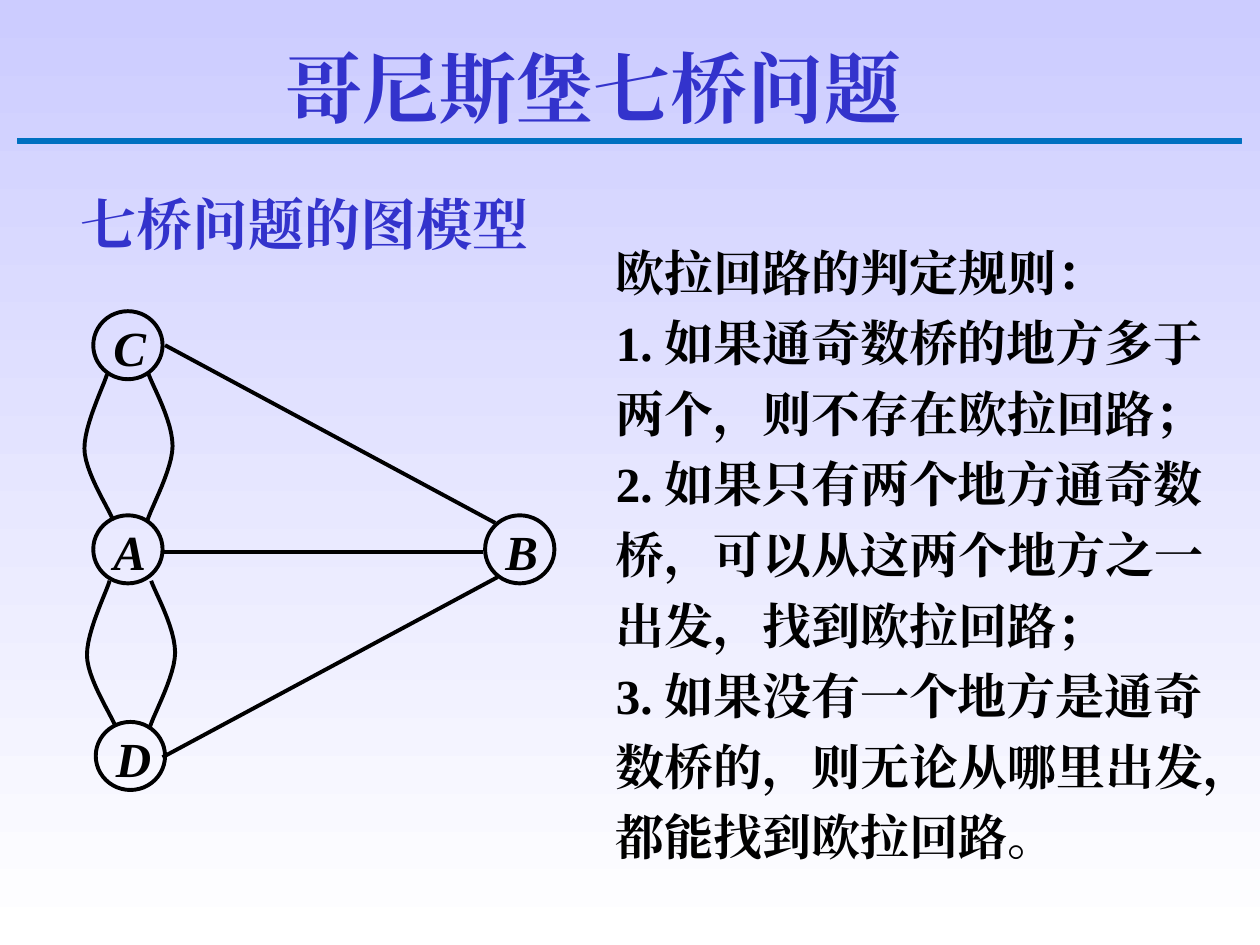
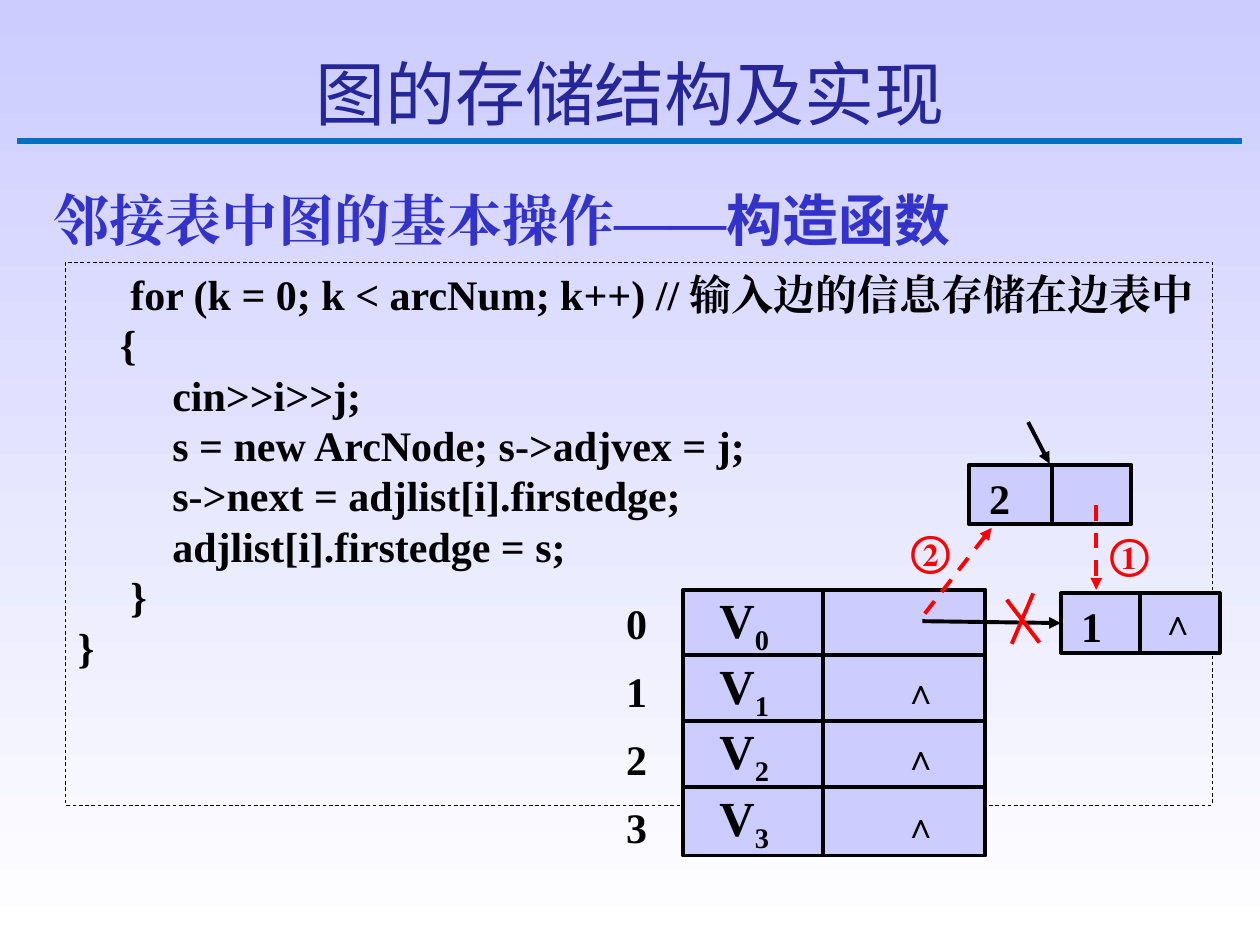
from lxml.etree import SubElement
from pptx import Presentation
from pptx.dml.color import RGBColor
from pptx.enum.dml import MSO_LINE
from pptx.enum.shapes import MSO_CONNECTOR, MSO_SHAPE
from pptx.enum.text import MSO_ANCHOR as Anchor, MSO_AUTO_SIZE as AutoSize, PP_ALIGN as Align
from pptx.oxml.ns import qn
from pptx.util import Emu, Pt

SCALE = 9144
TITLE_ONLY = 5
SERIF = "Times New Roman"
SANS = "Noto Sans CJK SC"
COLORS = {
    "sky": "CCCCFF",
    "white": "FFFFFF",
    "rule": "0070C0",
    "heading": "3333CC",
    "title": "262699",
    "ink": "000000",
    "mark": "FF0000",
}


def px(length):
    return Emu(round(length * SCALE))


def rgb(name):
    return RGBColor.from_string(COLORS[name])


def bezier(start, first, second, end, steps=12):
    for step in range(1, steps + 1):
        t = step / steps
        u = 1 - t
        yield tuple(
            u**3 * a + 3 * u * u * t * b + 3 * u * t * t * c + t**3 * d
            for a, b, c, d in zip(start, first, second, end)
        )


class Painter:
    def __init__(self):
        self.deck = Presentation()
        self.deck.slide_width, self.deck.slide_height = px(1000), px(750)
        fill = self.deck.slide_master.background.fill
        fill.gradient()
        fill.gradient_angle = 270
        for stop, color in zip(fill.gradient_stops, ("sky", "white")):
            stop.color.rgb = rgb(color)
        self.page = None

    def new_page(self, title, area, **style):
        self.page = self.deck.slides.add_slide(self.deck.slide_layouts[TITLE_ONLY])
        self.box(14, 110, 971, 4, fill="rule", line="rule", weight=0.25)
        holder = self.page.shapes.title
        self.place(holder, *area)
        self.set_text(holder, [title], align=Align.CENTER, anchor=Anchor.MIDDLE, **style)

    def place(self, shape, left, top, width, height):
        shape.left, shape.top = px(left), px(top)
        shape.width, shape.height = px(width), px(height)

    def style_font(self, para, size, color, bold, italic, name):
        para.font.size = Pt(size)
        para.font.bold = bold
        para.font.italic = italic
        para.font.color.rgb = rgb(color)
        para.font.name = name
        props = para._p.get_or_add_pPr().find(qn("a:defRPr"))
        SubElement(props, qn("a:ea")).set("typeface", name)

    def set_text(self, shape, lines, size=24, color="ink", bold=True, italic=False, name=SERIF,
                 insets=(10, 5, 10, 5), spacing=None, align=Align.LEFT, anchor=Anchor.TOP):
        frame = shape.text_frame
        frame.word_wrap = True
        frame.auto_size = AutoSize.NONE
        frame.vertical_anchor = anchor
        frame.margin_left, frame.margin_top, frame.margin_right, frame.margin_bottom = map(px, insets)
        for index, line in enumerate(lines):
            para = frame.add_paragraph() if index else frame.paragraphs[0]
            para.alignment = align
            if spacing:
                para.line_spacing = spacing
            para.add_run().text = line
            self.style_font(para, size, color, bold, italic, name)
        return shape

    def add_span(self, shape, words, name=None, baseline=None):
        span = shape.text_frame.paragraphs[-1].add_run()
        span.text = words
        props = span._r.get_or_add_rPr()
        if name:
            span.font.name = name
            SubElement(props, qn("a:ea")).set("typeface", name)
        if baseline:
            props.set("baseline", str(baseline * 1000))

    def text(self, left, top, width, height, *lines, **style):
        box = self.page.shapes.add_textbox(px(left), px(top), px(width), px(height))
        return self.set_text(box, lines, **style)

    def paint_outline(self, shape, fill, line, weight, dash=None):
        shape.shadow.inherit = False
        if fill:
            shape.fill.solid()
            shape.fill.fore_color.rgb = rgb(fill)
        else:
            shape.fill.background()
        if line:
            shape.line.color.rgb = rgb(line)
            shape.line.width = Pt(weight)
            shape.line.dash_style = dash
        else:
            shape.line.fill.background()

    def box(self, left, top, width, height, *lines, kind=MSO_SHAPE.RECTANGLE,
            fill=None, line="ink", weight=2.25, dash=None, **style):
        shape = self.page.shapes.add_shape(kind, px(left), px(top), px(width), px(height))
        self.paint_outline(shape, fill, line, weight, dash)
        if lines:
            self.set_text(shape, lines, **style)
        return shape

    def line(self, start, end, color="ink", dash=None, arrow=False):
        link = self.page.shapes.add_connector(MSO_CONNECTOR.STRAIGHT, *map(px, start + end))
        link.line.color.rgb = rgb(color)
        link.line.width = Pt(2.25)
        link.line.dash_style = dash
        if arrow:
            SubElement(link.line._get_or_add_ln(), qn("a:tailEnd")).set("type", "triangle")
        SubElement(link._element.spPr, qn("a:effectLst"))
        return link

    def curve(self, points, shift):
        moved = [(x + shift[0], y + shift[1]) for x, y in points]
        track = [
            (px(x), px(y))
            for first in range(0, len(moved) - 1, 3)
            for x, y in bezier(*moved[first:first + 4])
        ]
        builder = self.page.shapes.build_freeform(*map(px, moved[0]))
        builder.add_line_segments(track, close=False)
        self.paint_outline(builder.convert_to_shape(), None, "ink", 2.25)


def draw_bridges(painter):
    painter.new_page("哥尼斯堡七桥问题", (184, 31, 575, 75), size=44, color="heading")
    places = {"C": (74, 247), "A": (74, 409), "D": (76, 573), "B": (385, 409)}
    for letter, (left, top) in places.items():
        painter.box(left, top, 55, 54, letter, kind=MSO_SHAPE.OVAL, size=28, italic=True,
                    insets=(8, 6, 0, 0), spacing=0.8)
    for start, end in (
        ((131, 274), (393, 415)),
        ((129, 438), (383, 438)),
        ((129, 601), (395, 458)),
    ):
        painter.line(start, end)
    left_bridge = [(85, 297), (82, 307), (67, 337), (67, 356), (67, 373), (84, 400), (89, 411)]
    right_bridge = [(118, 297), (121, 306), (137, 334), (137, 354), (137, 372), (121, 401), (117, 413)]
    for shift in ((0, 0), (2, 164)):
        for bridge in (left_bridge, right_bridge):
            painter.curve(bridge, shift)
    painter.text(52, 144, 485, 55, "七桥问题的图模型", size=32, color="heading", insets=(12, 6, 0, 0))
    painter.text(
        479, 178, 512, 514,
        "欧拉回路的判定规则：",
        "1.如果通奇数桥的地方多于两个，则不存在欧拉回路；",
        "2.如果只有两个地方通奇数桥，可以从这两个地方之一出发，找到欧拉回路；",
        "3.如果没有一个地方是通奇数桥的，则无论从哪里出发，都能找到欧拉回路。",
        size=28, spacing=1.2,
    )


def draw_adjacency_list(painter):
    painter.new_page("图的存储结构及实现", (0, 35, 1000, 77),
                     size=40, color="title", bold=False, name=SANS)
    painter.box(
        52, 208, 910, 431,
        "     for (k = 0; k < arcNum; k++) //输入边的信息存储在边表中",
        "    {",
        "         cin>>i>>j;",
        "         s = new ArcNode; s->adjvex = j;",
        "         s->next = adjlist[i].firstedge;",
        "         adjlist[i].firstedge = s;",
        "     }",
        "}",
        weight=0.5, dash=MSO_LINE.DASH,
    )
    node_insets = (16, 6, 10, 1)
    caret = {"size": 20, "insets": node_insets, "fill": "sky"}
    old_node = painter.box(842, 471, 71, 47, "1", fill="sky", insets=node_insets)
    painter.box(905, 471, 63, 47, "∧", **caret)
    painter.box(769, 369, 71, 47, "2", fill="sky", insets=node_insets)
    painter.box(835, 369, 63, 47, fill="sky")

    for row in range(4):
        top = 468 + row * 157 // 3
        vertex = painter.box(542, top, 111, 54, "V", fill="sky", size=28, insets=(29, 0, 10, 5))
        painter.add_span(vertex, str(row), baseline=-25)
        painter.box(653, top, 129, 54, fill="sky")
        if row:
            painter.box(701, 525 + (row - 1) * 107 // 2, 63, 38, "∧", line=None, **caret)
    painter.text(497, 460, 32, 216, *map(str, range(4)), insets=(0, 0, 0, 0), spacing=1.35)

    painter.line((732, 493), (842, 493), arrow=True).end_connect(old_node, 1)
    painter.line((816, 335), (833, 368), arrow=True)
    for start, end in (((870, 401), (870, 468)), ((734, 487), (787, 419))):
        painter.line(start, end, "mark", MSO_LINE.DASH, arrow=True)
    for start, end in (((799, 476), (825, 510)), ((820, 471), (803, 511))):
        painter.line(start, end, "mark")
    for left, top, number in ((881, 419, "①"), (723, 416, "②")):
        painter.text(left, top, 33, 44, number, color="mark", insets=(0, 0, 0, 0))

    heading = painter.text(33, 142, 775, 64, "邻接表中图的基本操作——", size=32, color="heading")
    painter.add_span(heading, "构造函数", name=SANS)


def main():
    painter = Painter()
    draw_bridges(painter)
    draw_adjacency_list(painter)
    painter.deck.save("out.pptx")


if __name__ == "__main__":
    main()
